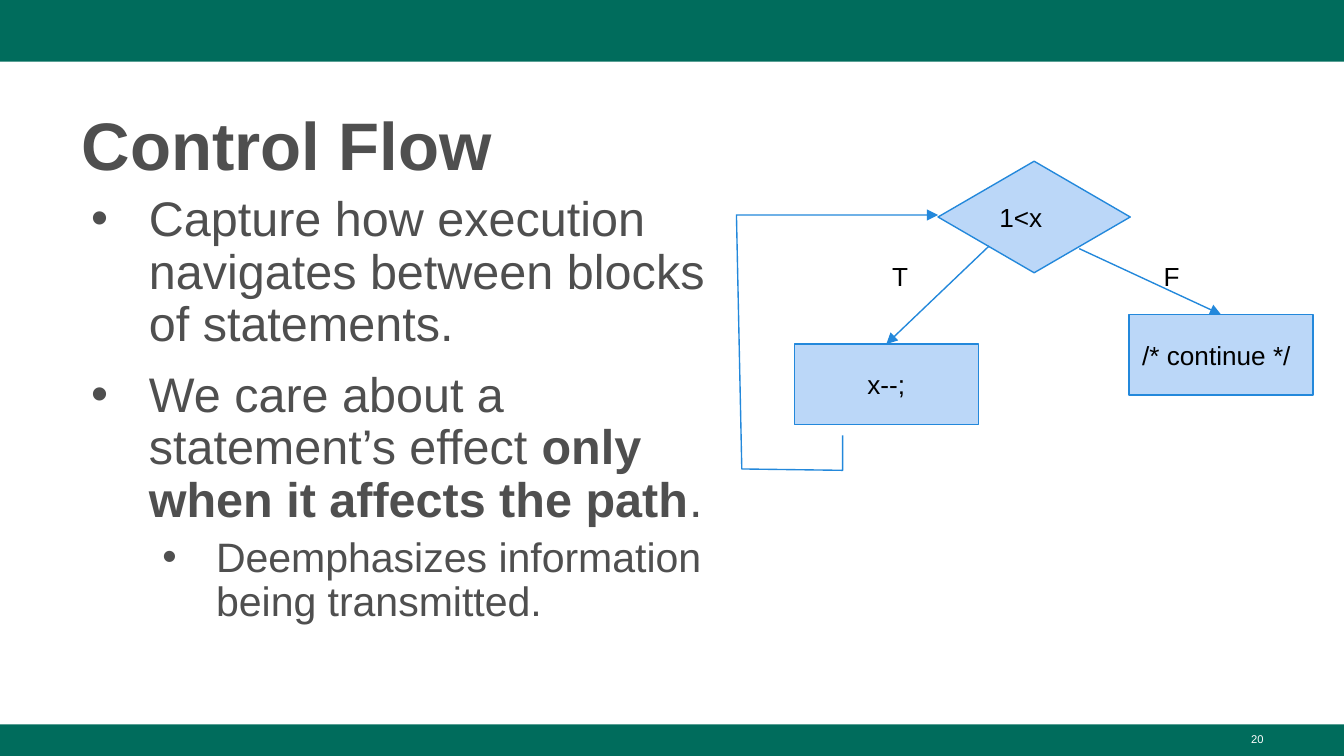
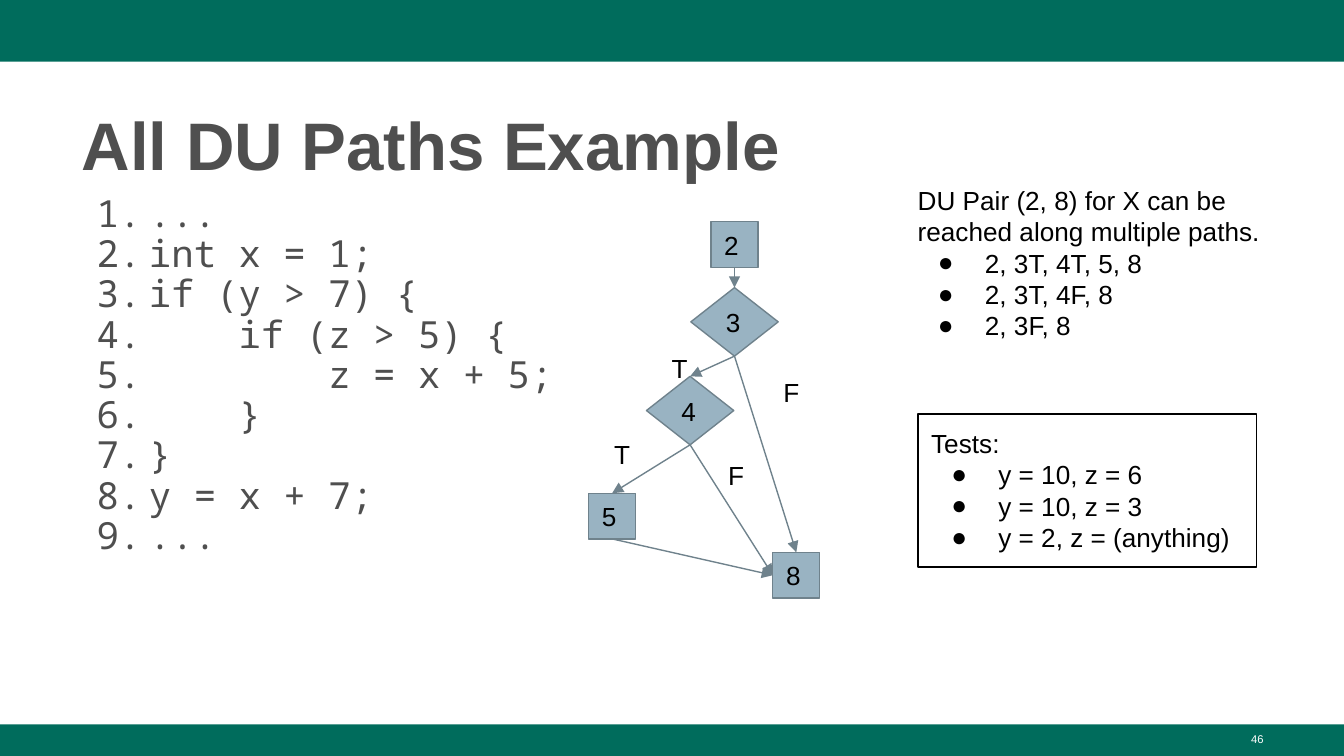
from dataclasses import dataclass

from lxml import etree
from pptx import Presentation
from pptx import util as u
from pptx.dml import color as dml
from pptx.enum import shapes, text
from pptx.oxml import ns


@dataclass(frozen=True)
class Theme:
    band: str = "006C5C"
    heading: str = "4F4F4F"
    ink: str = "000000"
    paper: str = "FFFFFF"
    flow_colors: tuple = ("BBD7F8", "2388DB")
    path_colors: tuple = ("99B3C2", "6F828C")
    font: str = "Arial"
    code_font: str = "Noto Sans Mono"
    title_size: int = 36
    body_size: int = 26
    detail_size: int = 22
    code_size: int = 20
    label_size: int = 14
    number_size: int = 6
    line_width: float = 0.75


THEME = Theme()


def rgb(value):
    return dml.RGBColor.from_string(value)


def add_bullet(paragraph, bullet, color, font, left, hanging):
    properties = paragraph._p.get_or_add_pPr()
    properties.set("marL", str(u.Inches(left)))
    properties.set("indent", str(u.Inches(-hanging)))
    bullet_color = etree.SubElement(properties, ns.qn("a:buClr"))
    etree.SubElement(bullet_color, ns.qn("a:srgbClr")).set("val", color)
    etree.SubElement(properties, ns.qn("a:buFont")).set("typeface", font)
    if bullet == "auto":
        etree.SubElement(properties, ns.qn("a:buAutoNum")).set("type", "arabicPeriod")
    else:
        etree.SubElement(properties, ns.qn("a:buChar")).set("char", bullet)


def write(frame, content, size=THEME.label_size, color=THEME.ink, font=THEME.font,
          bold=False, align=text.PP_ALIGN.LEFT, bullet=None, left=0.5, hanging=0.35,
          level=0, spacing=None, before=None):
    first = not frame.paragraphs[0].runs
    paragraph = frame.paragraphs[0] if first else frame.add_paragraph()
    paragraph.level = level
    if bullet:
        add_bullet(paragraph, bullet, color, font, left, hanging)
    paragraph.alignment = align
    if spacing:
        paragraph.line_spacing = spacing
    if before and not first:
        paragraph.space_before = u.Pt(before)
    runs = [(content, bold)] if isinstance(content, str) else content
    for words, strong in runs:
        run = paragraph.add_run()
        run.text = words
        run.font.name = font
        run.font.size = u.Pt(size)
        run.font.bold = strong
        run.font.color.rgb = rgb(color)


class Deck:
    def __init__(self, theme):
        self.theme = theme
        self.presentation = Presentation()
        self.presentation.slide_width = u.Inches(10)
        self.presentation.slide_height = u.Inches(10) * 9 // 16
        self.slide = None

    def start_slide(self, title, number):
        theme = self.theme
        self.slide = self.presentation.slides.add_slide(self.presentation.slide_layouts[6])
        for top, height in ((0, 0.46), (5.39, 0.24)):
            self.box(0, top, 10, height, fill=theme.band)
        frame = self.text_area(0.51, 0.67, 8.99, 0.73, margin=0.03,
                               anchor=text.MSO_ANCHOR.BOTTOM)
        write(frame, title, size=theme.title_size, color=theme.heading, bold=True, spacing=1.08)
        frame = self.text_area(7.17, 5.4, 2.33, 0.23, margin=0.05)
        write(frame, number, size=theme.number_size, color=theme.paper,
              align=text.PP_ALIGN.RIGHT)

    def prepare_frame(self, frame, margin, anchor):
        frame.word_wrap = True
        frame.vertical_anchor = anchor
        frame.margin_left = frame.margin_right = u.Inches(0.1)
        frame.margin_top = frame.margin_bottom = u.Inches(margin)
        return frame

    def text_area(self, left, top, width, height, margin=0.1, anchor=text.MSO_ANCHOR.TOP):
        shape = self.slide.shapes.add_textbox(*map(u.Inches, (left, top, width, height)))
        return self.prepare_frame(shape.text_frame, margin, anchor)

    def label(self, content, left, top, width, height):
        write(self.text_area(left, top, width, height), content)

    def style_line(self, line, color):
        line.color.rgb = rgb(color)
        line.width = u.Pt(self.theme.line_width)

    def box(self, left, top, width, height, fill=None, line=None,
            kind=shapes.MSO_SHAPE.RECTANGLE, anchor=text.MSO_ANCHOR.MIDDLE):
        shape = self.slide.shapes.add_shape(kind, *map(u.Inches, (left, top, width, height)))
        shape.shadow.inherit = False
        if fill:
            shape.fill.solid()
            shape.fill.fore_color.rgb = rgb(fill)
        else:
            shape.fill.background()
        if line:
            self.style_line(shape.line, line)
        else:
            shape.line.fill.background()
        self.prepare_frame(shape.text_frame, 0.1, anchor)
        return shape

    def node(self, content, left, top, width, height, colors, diamond=False,
             align=text.PP_ALIGN.LEFT):
        kind = shapes.MSO_SHAPE.DIAMOND if diamond else shapes.MSO_SHAPE.RECTANGLE
        shape = self.box(left, top, width, height, *colors, kind=kind)
        write(shape.text_frame, content, align=align)
        return shape

    def add_head(self, line):
        properties = line._get_or_add_ln()
        etree.SubElement(properties, ns.qn("a:tailEnd")).set("type", "triangle")

    def arrow(self, start, target, site, color):
        from_point = isinstance(start, tuple)
        x, y = map(u.Inches, start) if from_point else (0, 0)
        connector = self.slide.shapes.add_connector(
            shapes.MSO_CONNECTOR.STRAIGHT, x, y, target.left, target.top)
        if not from_point:
            connector.begin_connect(start, 2)
        connector.end_connect(target, site)
        self.style_line(connector.line, color)
        self.add_head(connector.line)
        etree.SubElement(connector._element.spPr, ns.qn("a:effectLst"))

    def bent_arrow(self, points, color):
        first, *others = [tuple(map(u.Inches, point)) for point in points]
        builder = self.slide.shapes.build_freeform(*first)
        builder.add_line_segments(others, close=False)
        shape = builder.convert_to_shape()
        shape.shadow.inherit = False
        shape.fill.background()
        self.style_line(shape.line, color)
        self.add_head(shape.line)

    def bullet_list(self, frame, heading, items):
        write(frame, heading)
        for item in items:
            write(frame, item, bullet="●")


def build_control_flow(deck):
    theme = deck.theme
    deck.start_slide("Control Flow", "20")
    frame = deck.text_area(0.51, 1.4, 4.87, 3.81, margin=0.05)
    main_point = dict(size=theme.body_size, color=theme.heading, bullet="•",
                      hanging=0.43, spacing=0.9, before=10)
    write(frame, "Capture how execution navigates between blocks of statements.", **main_point)
    write(frame, [("We care about a statement’s effect ", False),
                  ("only when it affects the path", True), (".", False)], **main_point)
    detail = dict(size=theme.detail_size, left=1, hanging=0.4, level=1, before=5)
    write(frame, "Deemphasizes information being transmitted.", **{**main_point, **detail})

    colors = theme.flow_colors
    line = colors[1]
    decrement = deck.node("x--;", 5.91, 2.56, 1.37, 0.6, colors, align=text.PP_ALIGN.CENTER)
    following = deck.node("/* continue */", 8.4, 2.34, 1.37, 0.6, colors)
    deck.arrow((8.03, 1.85), following, 0, line)
    deck.node("1<x", 6.98, 1.2, 1.43, 0.83, colors, diamond=True)
    deck.arrow((7.36, 1.83), decrement, 0, line)
    for content, left in (("T", 6.54), ("F", 8.56)):
        deck.label(content, left, 1.84, 0.44, 0.22)
    deck.bent_arrow([(6.27, 3.24), (6.27, 3.5), (5.52, 3.49), (5.48, 1.6), (6.98, 1.6)], line)


def build_du_paths(deck):
    theme = deck.theme
    deck.start_slide("All DU Paths Example", "46")
    frame = deck.text_area(0.51, 1.4, 4.25, 3.81, margin=0.05)
    code = ("...", "int x = 1;", "if (y > 7) {", "    if (z > 5) {",
            "        z = x + 5;", "    }", "}", "y = x + 7;", "...")
    for statement in code:
        write(frame, statement, size=theme.code_size, color=theme.heading,
              font=theme.code_font, bullet="auto", hanging=0.39, spacing=0.9)

    colors = theme.path_colors
    nodes = {}
    for name, left, top in (("2", 5.29, 1.65), ("8", 5.75, 4.11), ("5", 4.38, 3.67)):
        nodes[name] = deck.node(name, left, top, 0.35, 0.34, colors)
    for name, left, top in (("3", 5.14, 2.14), ("4", 4.81, 2.8)):
        nodes[name] = deck.node(name, left, top, 0.65, 0.51, colors, diamond=True)
    for start, target, site in (("2", "3", 0), ("3", "4", 0), ("3", "8", 0),
                                ("4", "5", 0), ("4", "8", 1), ("5", "8", 1)):
        deck.arrow(nodes[start], nodes[target], site, colors[1])
    for content, left, top, width in (("T", 4.9, 2.52, 0.23), ("F", 5.73, 2.7, 0.23),
                                      ("T", 4.47, 3.16, 0.35), ("F", 5.32, 3.32, 0.23)):
        deck.label(content, left, top, width, 0.44)

    deck.bullet_list(deck.text_area(6.73, 1.27, 2.77, 1.38),
                     "DU Pair (2, 8) for X can be reached along multiple paths.",
                     ("2, 3T, 4T, 5, 8", "2, 3T, 4F, 8", "2, 3F, 8"))
    tests = deck.box(6.83, 3.08, 2.52, 1.14, line=theme.ink, anchor=text.MSO_ANCHOR.TOP)
    deck.bullet_list(tests.text_frame, "Tests:",
                     ("y = 10, z = 6", "y = 10, z = 3", "y = 2, z = (anything)"))


def main():
    deck = Deck(THEME)
    build_control_flow(deck)
    build_du_paths(deck)
    deck.presentation.save("out.pptx")


if __name__ == "__main__":
    main()
